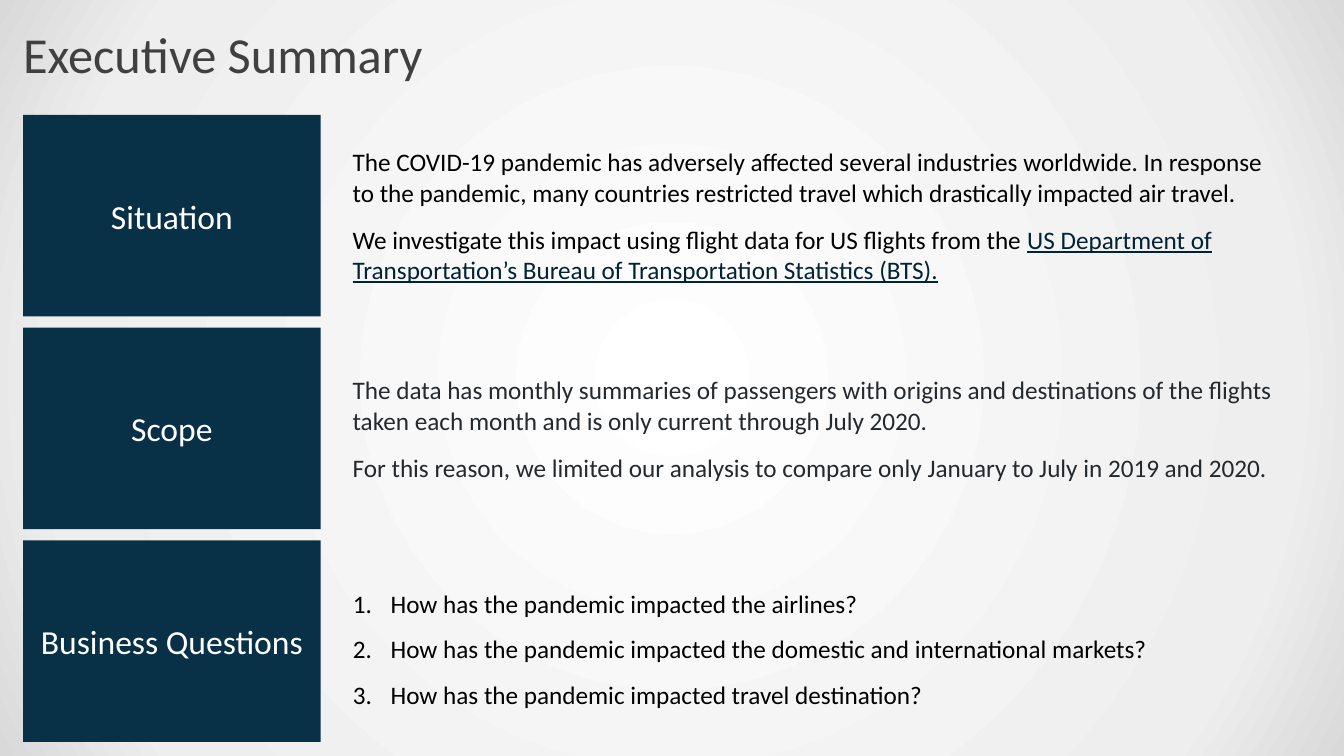
from dataclasses import dataclass

from pptx import Presentation
from pptx.dml.color import RGBColor
from pptx.enum.shapes import MSO_SHAPE
from pptx.enum.text import MSO_ANCHOR as Anchor, MSO_AUTO_SIZE as AutoSize, PP_ALIGN as Align
from pptx.oxml import parse_xml
from pptx.oxml.ns import nsdecls, qn
from pptx.util import Pt

TITLE = "Executive Summary"
SECTIONS = [
    ("Situation", "000000", [
        ["The COVID-19 pandemic has adversely affected several industries worldwide. "
         "In response to the pandemic, many countries restricted travel which "
         "drastically impacted air travel."],
        ["We investigate this impact using flight data for US flights from the ",
         "US Department of Transportation’s Bureau of Transportation Statistics (BTS)."],
    ]),
    ("Scope", "24292E", [
        ["The data has monthly summaries of passengers with origins and destinations "
         "of the flights taken each month and is only current through July 2020."],
        ["For this reason, we limited our analysis to compare only January to July "
         "in 2019 and 2020."],
    ]),
    ("Business Questions", "000000", [
        ["How has the pandemic impacted the airlines?"],
        ["How has the pandemic impacted the domestic and international markets?"],
        ["How has the pandemic impacted travel destination?"],
    ]),
]


@dataclass(frozen=True)
class Theme:
    font: str = "Calibri"
    title_size: int = 36
    label_size: int = 24
    body_size: int = 18
    title: str = "404040"
    card: str = "083046"
    label: str = "FFFFFF"
    source: str = "002335"
    backdrop: tuple = ((0, "FFFFFF"), (81, "EEEEEE"), (100, "D9D9D9"))


theme = Theme()
MARGIN, CARD_TOP, CARD_W, CARD_H, GAP = 16.5, 82, 212.5, 144, 8
TEXT_LEFT, TEXT_W, QUESTIONS_W = 244.8, 677.5, 688.3
INDENT = 27


def write(sp, paragraphs, size, color, align=Align.LEFT, numbered=False, after=0):
    tf = sp.text_frame
    tf.word_wrap = True
    tf.auto_size = AutoSize.NONE
    tf.vertical_anchor = Anchor.MIDDLE
    for i, runs in enumerate(paragraphs):
        p = tf.paragraphs[0] if i == 0 else tf.add_paragraph()
        p.alignment = align
        p.space_before = Pt(0)
        p.space_after = Pt(after if i < len(paragraphs) - 1 else 0)
        p.line_spacing = 1.5 if numbered else 1.0
        if numbered:
            pPr = p._p.get_or_add_pPr()
            pPr.set("marL", str(Pt(INDENT)))
            pPr.set("indent", str(-Pt(INDENT)))
            pPr.append(parse_xml(f'<a:buFont {nsdecls("a")} typeface="+mj-lt"/>'))
            pPr.append(parse_xml(f'<a:buAutoNum {nsdecls("a")} type="arabicPeriod"/>'))
        for j, text in enumerate(runs):
            r = p.add_run()
            r.text = text
            r.font.name = theme.font
            r.font.size = Pt(size)
            r.font.color.rgb = RGBColor.from_string(theme.source if j else color)
            if j:
                r.font.underline = True


def place(sp, left, top, width, height):
    sp.left, sp.top, sp.width, sp.height = Pt(left), Pt(top), Pt(width), Pt(height)


def paint_background(s):
    s.background.fill.gradient()
    old = next(s._element.iter(qn("a:gradFill")))
    stops = "".join(f'<a:gs pos="{pos * 1000}"><a:srgbClr val="{color}"/></a:gs>'
                    for pos, color in theme.backdrop)
    new = parse_xml(
        f'<a:gradFill {nsdecls("a")} rotWithShape="1"><a:gsLst>{stops}</a:gsLst>'
        '<a:path path="circle"><a:fillToRect l="50000" t="50000" r="50000" b="50000"/>'
        '</a:path></a:gradFill>')
    old.getparent().replace(old, new)


def main():
    prs = Presentation()
    prs.slide_width, prs.slide_height = Pt(960), Pt(540)
    s = prs.slides.add_slide(prs.slide_layouts[1])
    paint_background(s)

    title, questions = s.placeholders
    place(title, MARGIN, 10, 864, 56)
    title.text_frame.margin_left = title.text_frame.margin_right = 0
    write(title, [[TITLE]], theme.title_size, theme.title)

    for i, (label, color, paragraphs) in enumerate(SECTIONS):
        top = CARD_TOP + i * (CARD_H + GAP)
        card = s.shapes.add_shape(MSO_SHAPE.RECTANGLE, Pt(MARGIN), Pt(top),
                                  Pt(CARD_W), Pt(CARD_H))
        card.shadow.inherit = False
        card.fill.solid()
        card.fill.fore_color.rgb = RGBColor.from_string(theme.card)
        card.line.fill.background()
        write(card, [[label]], theme.label_size, theme.label, align=Align.CENTER)

        numbered = label == "Business Questions"
        if numbered:
            sp = questions
            place(sp, TEXT_LEFT, top, QUESTIONS_W, CARD_H)
        else:
            sp = s.shapes.add_textbox(Pt(TEXT_LEFT), Pt(top), Pt(TEXT_W), Pt(CARD_H))
        write(sp, paragraphs, theme.body_size, color, numbered=numbered,
              after=0 if numbered else 12)

    prs.save("out.pptx")


if __name__ == "__main__":
    main()
